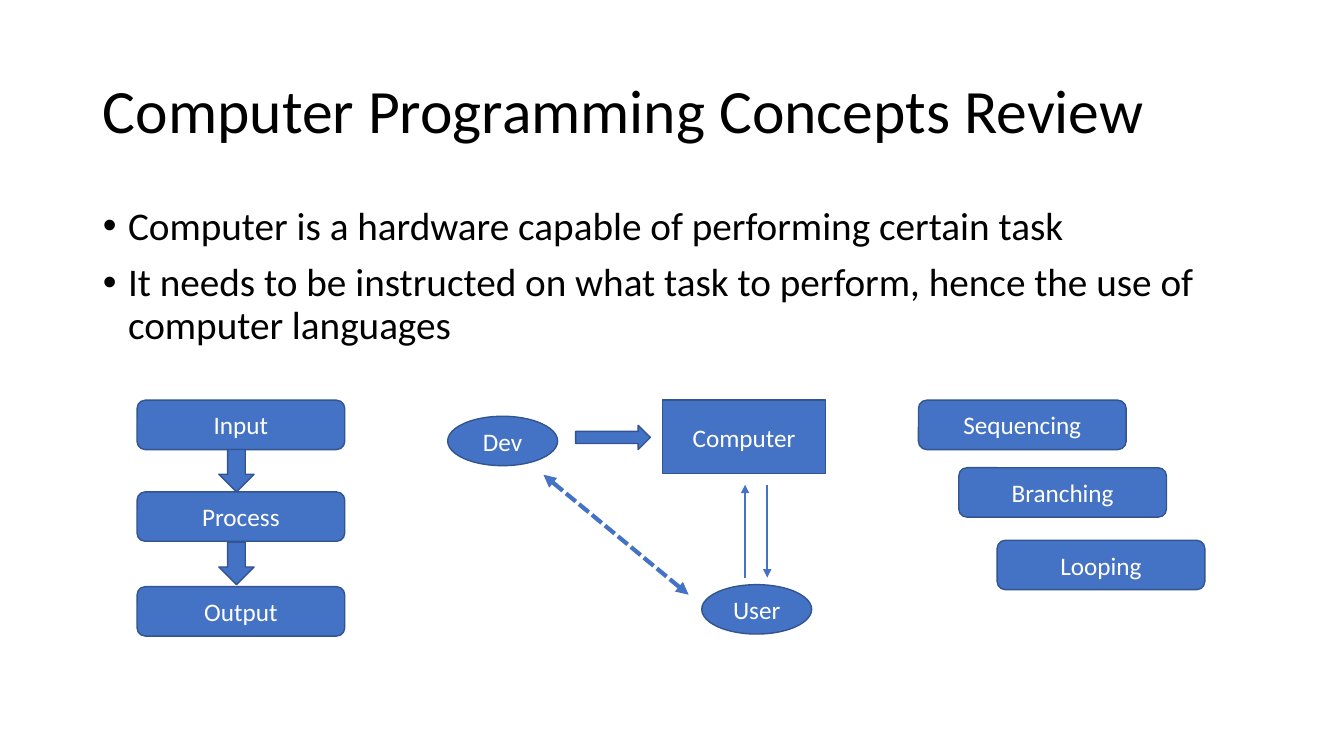
"""Build the slide reviewing computer programming concepts."""

import dataclasses

import lxml.etree
import pptx
import pptx.dml.color
import pptx.enum.dml
import pptx.enum.shapes
import pptx.enum.text
import pptx.oxml.ns
import pptx.shapes.base
import pptx.slide
import pptx.text.text
import pptx.util

EMU_PER_PX = 9144
SHAPE = pptx.enum.shapes.MSO_SHAPE
ALIGN = pptx.enum.text.PP_ALIGN
ANCHOR = pptx.enum.text.MSO_ANCHOR


@dataclasses.dataclass(frozen=True)
class Theme:
    """Colours, font and sizes in points."""

    font: str = "Calibri"
    text: str = "000000"
    label: str = "FFFFFF"
    fill: str = "4472C4"
    outline: str = "325491"
    title_size: int = 44
    body_size: int = 28
    label_size: int = 18
    outline_width: float = 1
    body_gap: int = 10
    line_spacing: float = 0.9


@dataclasses.dataclass(frozen=True)
class Node:
    """A filled shape with an optional label."""

    kind: SHAPE
    left: int
    top: int
    width: int
    height: int
    label: str = ""


@dataclasses.dataclass(frozen=True)
class Link:
    """A straight line with an arrowhead at its end."""

    start: tuple[int, int]
    end: tuple[int, int]
    width: float = 1.5
    two_way: bool = False


THEME = Theme()
TITLE = "Computer Programming Concepts Review"
BULLETS = (
    "Computer is a hardware capable of performing certain task",
    "It needs to be instructed on what task to perform, "
    "hence the use of computer languages",
)


def bar(left: int, top: int, label: str) -> Node:
    """Describe a rounded bar."""
    return Node(SHAPE.ROUNDED_RECTANGLE, left, top, 206, 49, label)


def actor(left: int, top: int, label: str) -> Node:
    """Describe a person as an ellipse."""
    return Node(SHAPE.OVAL, left, top, 109, 49, label)


def step(top: int) -> Node:
    """Describe an arrow down to the next bar."""
    return Node(SHAPE.DOWN_ARROW, 217, top, 35, 42)


NODES = (
    bar(136, 397, "Input"),
    bar(136, 488, "Process"),
    bar(136, 582, "Output"),
    step(446),
    step(538),
    Node(SHAPE.RECTANGLE, 657, 397, 162, 73, "Computer"),
    actor(444, 413, "Dev"),
    actor(696, 580, "User"),
    Node(SHAPE.RIGHT_ARROW, 571, 422, 74, 24),
    bar(911, 397, "Sequencing"),
    bar(951, 464, "Branching"),
    bar(989, 536, "Looping"),
)
LINKS = (
    Link((739, 573), (739, 481)),
    Link((761, 481), (761, 573)),
    Link((683, 590), (539, 471), width=3, two_way=True),
)


def px(length: int) -> pptx.util.Emu:
    """Turn px into EMU."""
    return pptx.util.Emu(length * EMU_PER_PX)


def rgb(colour: str) -> pptx.dml.color.RGBColor:
    """Turn a hex string into a colour."""
    return pptx.dml.color.RGBColor.from_string(colour)


def style_text(para: pptx.text.text._Paragraph, size: int, colour: str, align: ALIGN) -> None:
    """Format a paragraph and its runs."""
    para.alignment = align
    for span in para.runs:
        span.font.name = THEME.font
        span.font.size = pptx.util.Pt(size)
        span.font.color.rgb = rgb(colour)


def fill_placeholder(
    box: pptx.shapes.base.BaseShape, top: int, height: int, text: str, size: int, anchor: ANCHOR
) -> None:
    """Place a placeholder and set its text."""
    box.left, box.top, box.width, box.height = map(px, (92, top, 1150, height))
    frame = box.text_frame
    frame.text = text
    frame.word_wrap = True
    frame.auto_size = pptx.enum.text.MSO_AUTO_SIZE.NONE
    frame.vertical_anchor = anchor
    for para in frame.paragraphs:
        para.line_spacing = THEME.line_spacing
        style_text(para, size, THEME.text, ALIGN.LEFT)


def indent_bullets(box: pptx.shapes.base.BaseShape) -> None:
    """Set the hanging indent and the gap above each bullet."""
    for para in box.text_frame.paragraphs:
        para.space_before = pptx.util.Pt(THEME.body_gap)
        properties = para._p.get_or_add_pPr()
        properties.set("marL", str(px(25)))
        properties.set("indent", str(px(-25)))


def draw_node(page: pptx.slide.Slide, node: Node) -> None:
    """Draw a filled shape and its label."""
    box = page.shapes.add_shape(
        node.kind, px(node.left), px(node.top), px(node.width), px(node.height)
    )
    box.shadow.inherit = False
    box.fill.solid()
    box.fill.fore_color.rgb = rgb(THEME.fill)
    box.line.color.rgb = rgb(THEME.outline)
    box.line.width = pptx.util.Pt(THEME.outline_width)
    if node.label:
        box.text_frame.text = node.label
        box.text_frame.vertical_anchor = ANCHOR.MIDDLE
        style_text(box.text_frame.paragraphs[0], THEME.label_size, THEME.label, ALIGN.CENTER)


def draw_link(page: pptx.slide.Slide, link: Link) -> None:
    """Draw an arrow line, dashed when it points both ways."""
    line = page.shapes.add_connector(
        pptx.enum.shapes.MSO_CONNECTOR.STRAIGHT, *map(px, link.start + link.end)
    )
    line.line.color.rgb = rgb(THEME.fill)
    line.line.width = pptx.util.Pt(link.width)
    if link.two_way:
        line.line.dash_style = pptx.enum.dml.MSO_LINE.SQUARE_DOT
    outline = line.line._get_or_add_ln()
    for end in ("a:headEnd", "a:tailEnd") if link.two_way else ("a:tailEnd",):
        lxml.etree.SubElement(outline, pptx.oxml.ns.qn(end), type="triangle")
    lxml.etree.SubElement(line._element.spPr, pptx.oxml.ns.qn("a:effectLst"))


def main() -> None:
    """Build and save the deck."""
    deck = pptx.Presentation()
    deck.slide_width, deck.slide_height = px(1333), px(750)
    page = deck.slides.add_slide(deck.slide_layouts[1])
    fill_placeholder(page.shapes.title, 40, 145, TITLE, THEME.title_size, ANCHOR.MIDDLE)
    body = page.placeholders[1]
    fill_placeholder(body, 200, 476, "\n".join(BULLETS), THEME.body_size, ANCHOR.TOP)
    indent_bullets(body)
    for node in NODES:
        draw_node(page, node)
    for link in LINKS:
        draw_link(page, link)
    deck.save("out.pptx")


if __name__ == "__main__":
    main()
